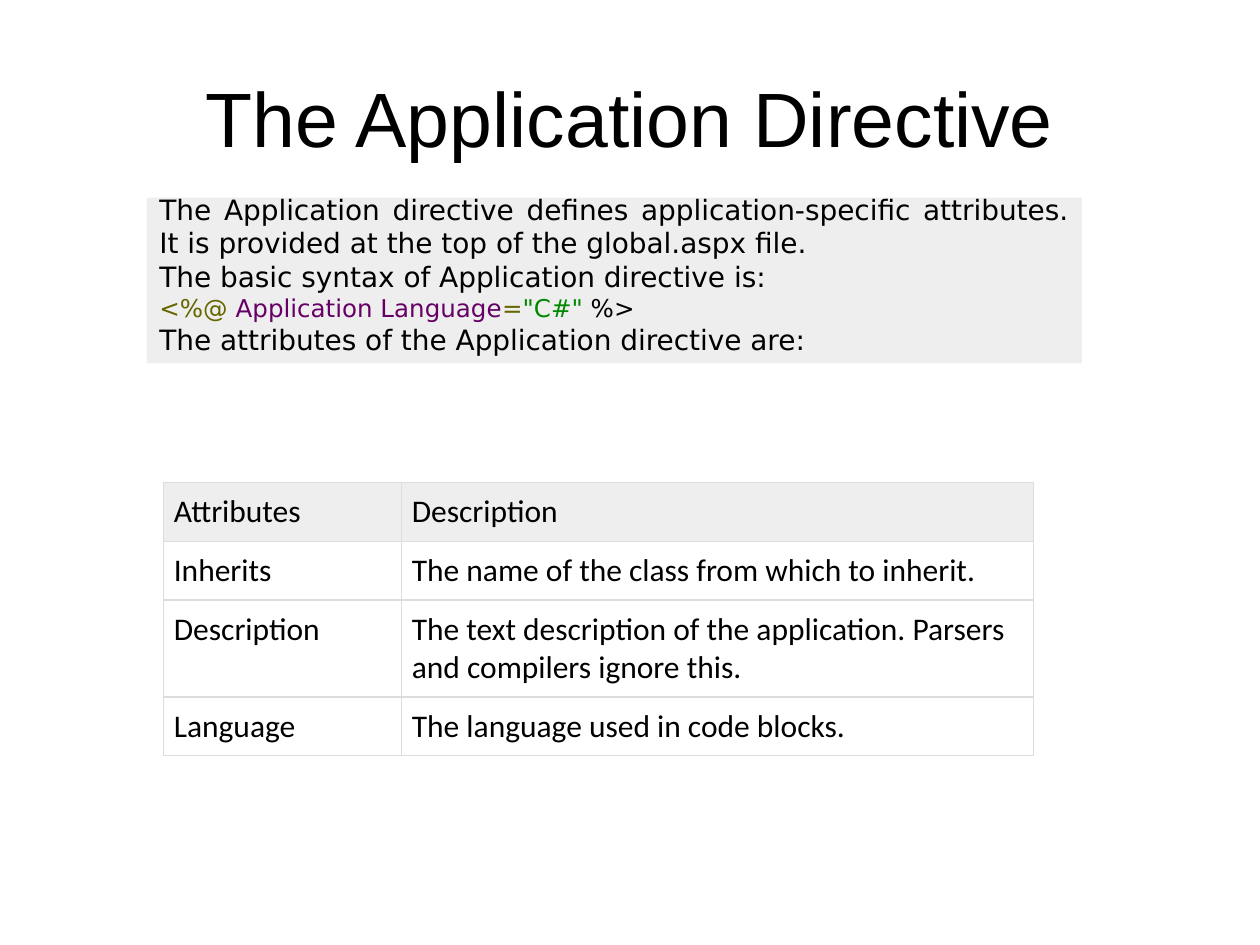
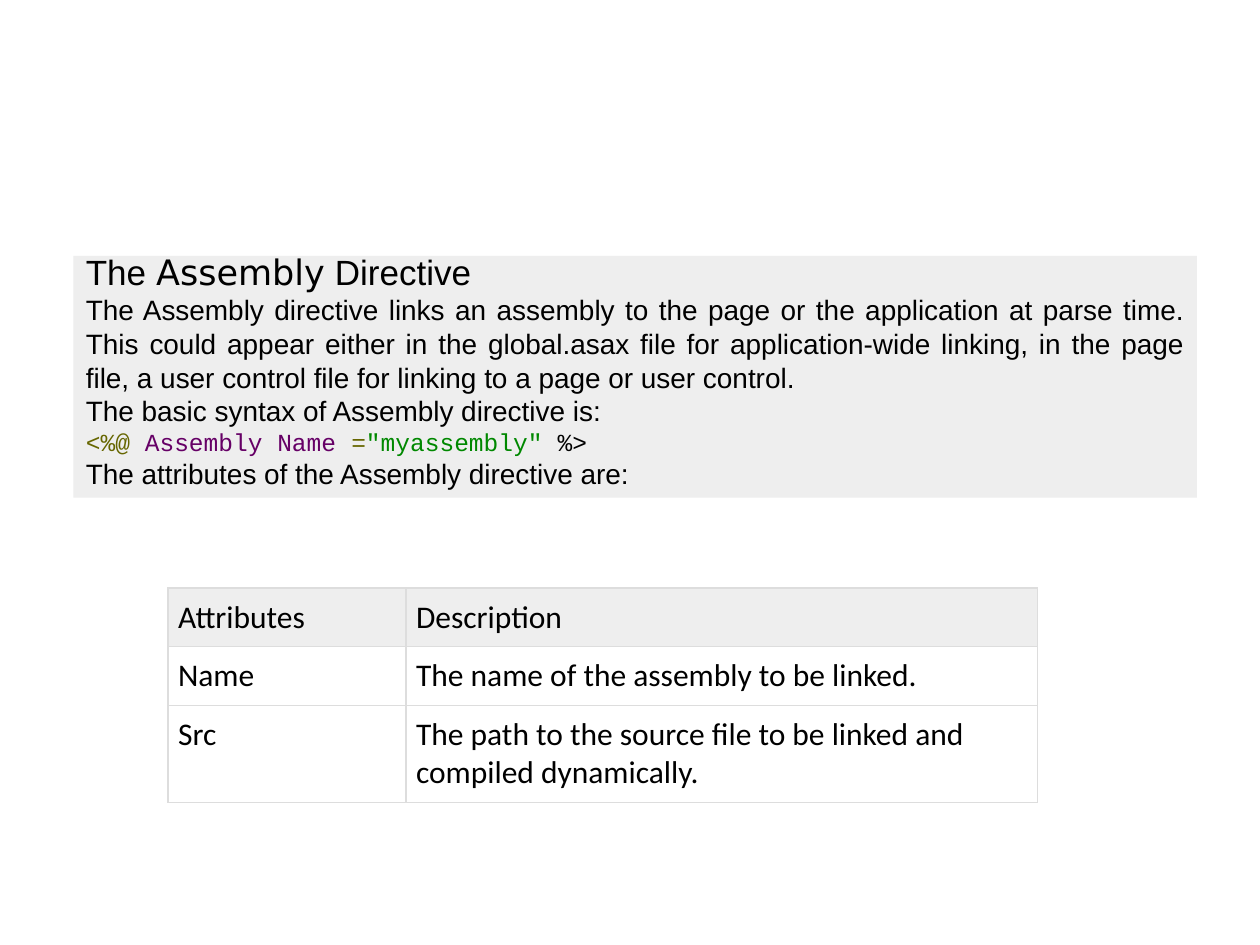
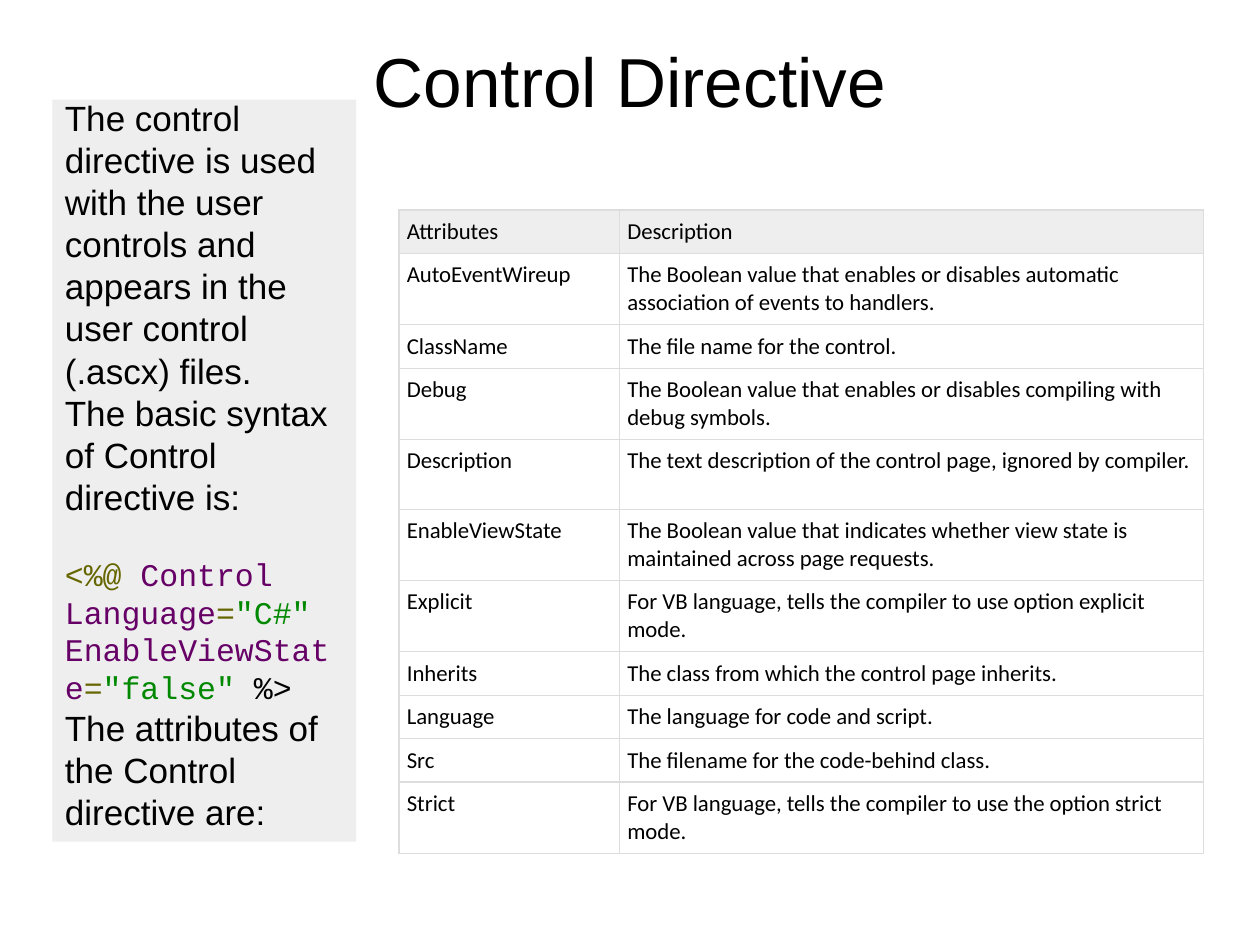
from lxml import etree
from pptx import Presentation
from pptx.dml.color import RGBColor
from pptx.enum import shapes, text
from pptx.oxml.ns import qn
from pptx.util import Pt

# Shared look
COLORS = {"text": "000000", "panel": "EEEEEE", "border": "DDDDDD",
          "mark": "666600", "name": "660066", "value": "008800"}
SANS, WIDE, MONO, TABLE = "Arial", "DejaVu Sans", "Courier New", "Calibri"
LEADING = 1.2
LONG_TEXT = 50  # descriptions longer than this take two lines
HEADER = ("Attributes", "Description")
LEFT, JUSTIFY = text.PP_ALIGN.LEFT, text.PP_ALIGN.JUSTIFY
MIDDLE, TOP = text.MSO_ANCHOR.MIDDLE, text.MSO_ANCHOR.TOP

# Two table sizes: text size, cell margin, one-line and two-line row heights
LARGE = {"size": 18, "margin": 5.76, "heights": (33.5, 55.5), "cols": (136, 361)}
SMALL = {"size": 13, "margin": 4.5, "heights": (24.5, 40), "cols": (126, 333.5)}

# Content: a paragraph is (size, font, space before, runs);
# a run is (text, colour) or (text, colour, font)
SLIDES = [
    {
        "title": ("The Application Directive", 44, {"vertical_anchor": MIDDLE}),
        "table": (93.6, 275.8, LARGE),
        "rows": [
            ("Inherits", "The name of the class from which to inherit."),
            ("Description", "The text description of the application. "
                            "Parsers and compilers ignore this."),
            ("Language", "The language used in code blocks."),
        ],
        "panel": (84, 113, 534.2, 94.5),
        "align": JUSTIFY,
        "paragraphs": [
            (16, WIDE, 0, [("The Application directive defines application-specific "
                            "attributes. It is provided at the top of the "
                            "global.aspx file.", "text")]),
            (16, WIDE, 0, [("The basic syntax of Application directive is:", "text")]),
            (14, WIDE, 0, [("<%@ ", "mark"), ("Application Language", "name"),
                           ("=", "mark"), ('"C#"', "value"), (" %>", "text")]),
            (16, WIDE, 0, [("The attributes of the Application directive are:", "text")]),
        ],
    },
    {
        "title": None,
        "table": (96, 336, LARGE),
        "rows": [
            ("Name", "The name of the assembly to be linked."),
            ("Src", "The path to the source file to be linked and "
                    "compiled dynamically."),
        ],
        "panel": (42, 146.2, 642, 138.2),
        "align": JUSTIFY,
        "paragraphs": [
            (20, SANS, 0, [("The ", "text"), ("Assembly", "text", WIDE),
                           (" Directive", "text")]),
            (16, SANS, 0, [("The Assembly directive links an assembly to the page or "
                            "the application at parse time. This could appear either "
                            "in the global.asax file for application-wide linking, in "
                            "the page file, a user control file for linking to a page "
                            "or user control.", "text")]),
            (16, SANS, 0, [("The basic syntax of Assembly directive is:", "text")]),
            (14, MONO, 0, [("<%@ ", "mark"), ("Assembly Name ", "name"), ("=", "mark"),
                           ('"myassembly"', "value"), (" %>", "text")]),
            (16, SANS, 0, [("The attributes of the Assembly directive are:", "text")]),
        ],
    },
    {
        "title": ("Control Directive", 39.6, {"vertical_anchor": TOP, "margin_top": 0}),
        "table": (228, 120, SMALL),
        "rows": [
            ("AutoEventWireup", "The Boolean value that enables or disables automatic "
                                "association of events to handlers."),
            ("ClassName", "The file name for the control."),
            ("Debug", "The Boolean value that enables or disables compiling with "
                      "debug symbols."),
            ("Description", "The text description of the control page, ignored by "
                            "compiler."),
            ("EnableViewState", "The Boolean value that indicates whether view state is "
                                "maintained across page requests."),
            ("Explicit", "For VB language, tells the compiler to use option explicit "
                         "mode."),
            ("Inherits", "The class from which the control page inherits."),
            ("Language", "The language for code and script."),
            ("Src", "The filename for the code-behind class."),
            ("Strict", "For VB language, tells the compiler to use the option strict "
                       "mode."),
        ],
        "panel": (30, 57, 173.5, 424),
        "align": LEFT,
        "paragraphs": [
            (20, SANS, 0, [("The control directive is used with the user controls and "
                            "appears in the user control (.ascx) files.", "text")]),
            (20, SANS, 0, [("The basic syntax of Control directive is:", "text")]),
            (18, MONO, 21.6, [("<%@ ", "mark"), ("Control Language", "name"),
                              ("=", "mark"), ('"C#" ', "value"),
                              ("EnableViewState", "name"), ("=", "mark"),
                              ('"false"', "value"), (" %>", "text")]),
            (20, SANS, 0, [("The attributes of the Control directive are:", "text")]),
        ],
    },
]


def add_run(p, words, font, size, color="text"):
    r = p.add_run()
    r.text = words
    for key, value in {"name": font, "size": Pt(size), "bold": False}.items():
        setattr(r.font, key, value)
    r.font.color.rgb = RGBColor.from_string(COLORS[color])


def add_borders(cell):
    tc_pr = cell._tc.get_or_add_tcPr()
    for i, side in enumerate(("lnL", "lnR", "lnT", "lnB")):
        ln = etree.Element(qn("a:" + side), w=str(Pt(0.75)))
        fill = etree.SubElement(ln, qn("a:solidFill"))
        etree.SubElement(fill, qn("a:srgbClr"), val=COLORS["border"])
        tc_pr.insert(i, ln)


prs = Presentation()
prs.slide_width, prs.slide_height = Pt(720), Pt(540)
TITLE_ONLY, BLANK = prs.slide_layouts[5], prs.slide_layouts[6]

for content in SLIDES:
    s = prs.slides.add_slide(TITLE_ONLY if content["title"] else BLANK)

    # Title
    if content["title"]:
        words, size, frame = content["title"]
        sp = s.shapes.title
        sp.left, sp.top, sp.width, sp.height = Pt(36), Pt(21.6), Pt(648), Pt(90)
        tf = sp.text_frame
        for key, value in frame.items():
            setattr(tf, key, value)
        tf.paragraphs[0].alignment = text.PP_ALIGN.CENTER
        add_run(tf.paragraphs[0], words, SANS, size)

    # Attribute table
    left, top, look = content["table"]
    rows = [HEADER] + content["rows"]
    heights = [look["heights"][len(row[1]) > LONG_TEXT] for row in rows]
    table = s.shapes.add_table(len(rows), len(HEADER), Pt(left), Pt(top),
                               Pt(sum(look["cols"])), Pt(sum(heights))).table
    table.first_row = table.horz_banding = False
    for column, width in zip(table.columns, look["cols"]):
        column.width = Pt(width)
    for i, row in enumerate(rows):
        table.rows[i].height = Pt(heights[i])
        for j, words in enumerate(row):
            cell = table.cell(i, j)
            for side in ("left", "right", "top", "bottom"):
                setattr(cell, "margin_" + side, Pt(look["margin"]))
            if i == 0:
                cell.fill.solid()
                cell.fill.fore_color.rgb = RGBColor.from_string(COLORS["panel"])
            else:
                cell.fill.background()
            add_borders(cell)
            add_run(cell.text_frame.paragraphs[0], words, TABLE, look["size"])

    # Grey panel with the explanation and the syntax line
    sp = s.shapes.add_shape(shapes.MSO_SHAPE.RECTANGLE, *map(Pt, content["panel"]))
    sp.shadow.inherit = False
    sp.fill.solid()
    sp.fill.fore_color.rgb = RGBColor.from_string(COLORS["panel"])
    sp.line.fill.background()
    tf = sp.text_frame
    for key, value in {"word_wrap": True, "vertical_anchor": MIDDLE,
                       "margin_left": Pt(7.2), "margin_right": Pt(7.2),
                       "margin_top": Pt(-3.6), "margin_bottom": Pt(3.6)}.items():
        setattr(tf, key, value)
    for i, (size, font, before, runs) in enumerate(content["paragraphs"]):
        p = tf.add_paragraph() if i else tf.paragraphs[0]
        for key, value in {"alignment": content["align"], "space_before": Pt(before),
                           "line_spacing": Pt(size * LEADING)}.items():
            setattr(p, key, value)
        for words, color, *other in runs:
            add_run(p, words, other[0] if other else font, size, color)

prs.save("out.pptx")
